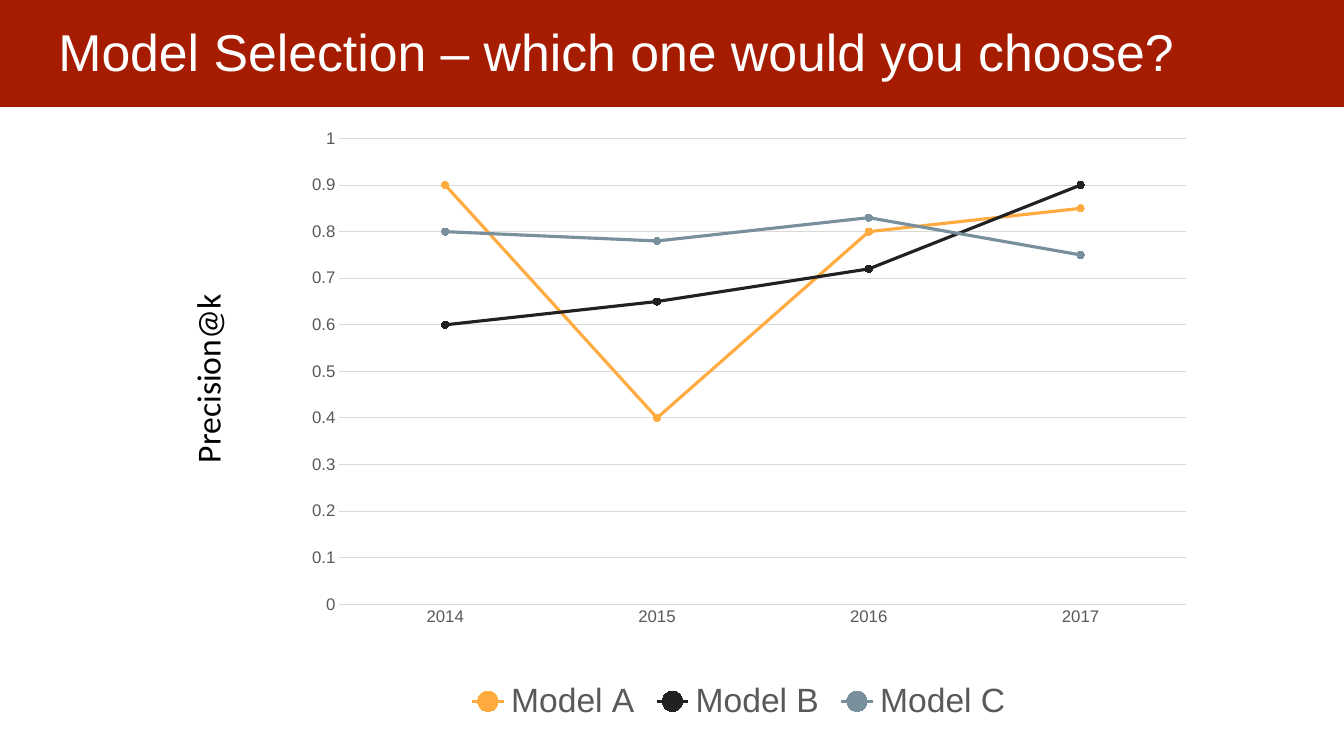
from dataclasses import dataclass

from lxml.etree import SubElement
from pptx import Presentation
from pptx.chart.data import CategoryChartData
from pptx.dml.color import RGBColor
from pptx.enum.chart import (XL_CHART_TYPE, XL_LEGEND_POSITION,
                             XL_MARKER_STYLE, XL_TICK_MARK)
from pptx.enum.shapes import MSO_SHAPE
from pptx.enum.text import MSO_ANCHOR, MSO_AUTO_SIZE
from pptx.oxml.ns import qn
from pptx.util import Emu, Pt

EMU_PER_PX = 914400 / 100.8
COLORS = {
    "band": "A61C00", "title": "FFFFFF", "label": "000000",
    "axis": "595959", "grid": "D9D9D9",
    "Model A": "FFAB40", "Model B": "212121", "Model C": "78909C",
}
YEARS = ("2014", "2015", "2016", "2017")
PRECISION = {
    "Model A": (0.9, 0.4, 0.8, 0.85),
    "Model B": (0.6, 0.65, 0.72, 0.9),
    "Model C": (0.8, 0.78, 0.83, 0.75),
}
PLOT_AREA = {"x": 0.054, "y": 0.016, "w": 0.946, "h": 0.779}


@dataclass(frozen=True)
class Box:
    """A rectangle in pixels."""
    left: int
    top: int
    width: int
    height: int

    def emu(self) -> list[Emu]:
        """Return left, top, width and height in EMU."""
        return [px(n) for n in (self.left, self.top, self.width, self.height)]


@dataclass(frozen=True)
class Label:
    """A line of text with its box and format."""
    text: str
    box: Box
    font: str
    size: int
    color: str
    frame: dict
    rotation: int = 0


LABELS = (
    Label("Model Selection – which one would you choose?",
          Box(45, 9, 1252, 84), "Arial", 37, "title",
          {"word_wrap": True, "vertical_anchor": MSO_ANCHOR.MIDDLE,
           "margin_left": Pt(9.6), "margin_right": Pt(9.6),
           "margin_top": Pt(4.8), "margin_bottom": Pt(4.8)}),
    Label("Precision@k", Box(112, 353, 190, 50), "Calibri", 24, "label",
          {"word_wrap": False, "auto_size": MSO_AUTO_SIZE.SHAPE_TO_FIT_TEXT},
          rotation=270),
)


def px(n: int) -> Emu:
    """Convert pixels to EMU."""
    return Emu(round(n * EMU_PER_PX))


def rgb(name: str) -> RGBColor:
    """Look up a named colour."""
    return RGBColor.from_string(COLORS[name])


def apply(obj, values: dict) -> None:
    """Set attributes from a dict of format values."""
    for name, value in values.items():
        setattr(obj, name, value)


def set_font(font, name: str, size: int, color: str) -> None:
    """Set typeface, size and colour of a font."""
    apply(font, {"name": name, "size": Pt(size)})
    font.color.rgb = rgb(color)


def set_line(line, color: str, width: float) -> None:
    """Set colour and width of a line."""
    line.color.rgb = rgb(color)
    line.width = Pt(width)


def set_fill(fill, color: str) -> None:
    """Apply a solid fill."""
    fill.solid()
    fill.fore_color.rgb = rgb(color)


def add_band(s, box: Box) -> None:
    """Draw the title band."""
    sp = s.shapes.add_shape(MSO_SHAPE.RECTANGLE, *box.emu())
    sp.shadow.inherit = False
    set_fill(sp.fill, "band")
    sp.line.fill.background()


def add_label(s, label: Label) -> None:
    """Add a text box for a label."""
    sp = s.shapes.add_textbox(*label.box.emu())
    sp.rotation = label.rotation
    tf = sp.text_frame
    apply(tf, label.frame)
    r = tf.paragraphs[0].add_run()
    r.text = label.text
    set_font(r.font, label.font, label.size, label.color)


def set_plot_area(chart) -> None:
    """Fix the inner plot area as fractions of the chart."""
    area = chart.element.find(f".//{qn('c:plotArea')}")
    for old in area.findall(qn("c:layout")):
        area.remove(old)
    layout = SubElement(area, qn("c:layout"))
    area.insert(0, layout)
    manual = SubElement(layout, qn("c:manualLayout"))
    settings = {"layoutTarget": "inner", "xMode": "edge", "yMode": "edge",
                **PLOT_AREA}
    for tag, value in settings.items():
        SubElement(manual, qn(f"c:{tag}")).set("val", str(value))


def add_precision_chart(s, box: Box) -> None:
    """Add the line chart of precision by year."""
    data = CategoryChartData()
    data.categories = YEARS
    for name, values in PRECISION.items():
        data.add_series(name, values)
    chart = s.shapes.add_chart(
        XL_CHART_TYPE.LINE_MARKERS, *box.emu(), data).chart
    apply(chart, {"has_title": False, "has_legend": True})
    set_font(chart.font, "Arial", 10, "label")
    apply(chart.legend, {"position": XL_LEGEND_POSITION.BOTTOM,
                         "include_in_layout": False})
    set_font(chart.legend.font, "Arial", 24, "axis")

    years, scale = chart.category_axis, chart.value_axis
    for axis in (years, scale):
        apply(axis, {"major_tick_mark": XL_TICK_MARK.NONE,
                     "minor_tick_mark": XL_TICK_MARK.NONE})
        set_font(axis.tick_labels.font, "Arial", 12, "axis")
    years.has_major_gridlines = False
    set_line(years.format.line, "grid", 0.75)
    apply(scale, {"minimum_scale": 0, "maximum_scale": 1, "major_unit": 0.1,
                  "has_major_gridlines": True})
    scale.format.line.fill.background()
    set_line(scale.major_gridlines.format.line, "grid", 0.75)

    plot = chart.plots[0]
    plot.vary_by_categories = False
    for series in plot.series:
        series.smooth = False
        set_line(series.format.line, series.name, 2.25)
        marker = series.marker
        apply(marker, {"style": XL_MARKER_STYLE.CIRCLE, "size": 5})
        set_fill(marker.format.fill, series.name)
        set_line(marker.format.line, series.name, 0.75)
    set_plot_area(chart)


def main() -> None:
    """Build and save the slide."""
    prs = Presentation()
    apply(prs, {"slide_width": px(1344), "slide_height": px(756)})
    s = prs.slides.add_slide(prs.slide_layouts[6])
    add_band(s, Box(-2, -4, 1347, 111))
    for label in LABELS:
        add_label(s, label)
    add_precision_chart(s, Box(291, 129, 896, 598))
    prs.save("out.pptx")


main()
